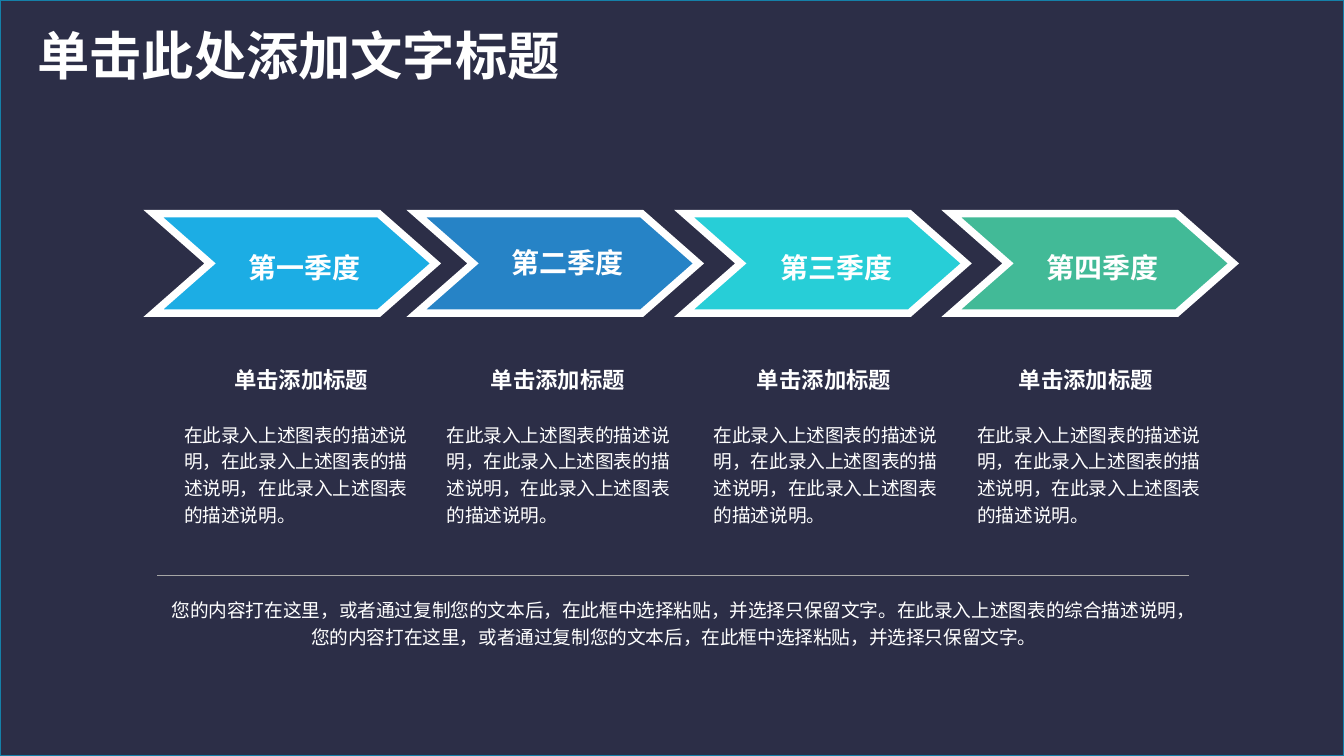
"""Build a slide with four quarterly arrows, their descriptions and a summary."""
from dataclasses import dataclass

from lxml.etree import SubElement
from pptx import Presentation
from pptx.dml.color import RGBColor
from pptx.enum.shapes import MSO_CONNECTOR, MSO_SHAPE
from pptx.enum.text import MSO_ANCHOR, MSO_AUTO_SIZE, PP_ALIGN
from pptx.oxml.ns import qn
from pptx.shapes.base import BaseShape
from pptx.shapes.shapetree import GroupShapes, SlideShapes
from pptx.slide import Slide
from pptx.util import Cm, Pt


@dataclass(frozen=True)
class Theme:
    background: str = "2C2E47"
    frame: str = "1580A9"
    text: str = "FFFFFF"
    rule: str = "A6A6A6"
    font: str = "Noto Sans CJK SC"
    label_font: str = "Arial"
    title_size: float = 28
    label_size: float = 15
    heading_size: float = 12
    body_size: float = 10


@dataclass(frozen=True)
class Box:
    left: float
    top: float
    width: float
    height: float


@dataclass(frozen=True)
class TextStyle:
    size: float
    bold: bool = False
    font: str = Theme.font
    align: PP_ALIGN = PP_ALIGN.CENTER
    anchor: MSO_ANCHOR = MSO_ANCHOR.TOP
    spacing: float = 1.0
    wrap: bool = True
    inset_x: float = 0.18
    inset_y: float = 0.1


@dataclass(frozen=True)
class Quarter:
    name: str
    color: str
    arrow_left: float
    label: Box
    heading_left: float
    body_left: float
    label_spacing: float = 1.2


THEME = Theme()
SLIDE_WIDTH, SLIDE_HEIGHT = 25.4, 14.29
ARROW = Box(0, 4.04, 5.33, 1.88)
ARROW_POINT = 1.07
HEADING = "单击添加标题"
DESCRIPTION = "在此录入上述图表的描述说明，在此录入上述图表的描述说明，在此录入上述图表的描述说明。"
SUMMARY = (
    "您的内容打在这里，或者通过复制您的文本后，在此框中选择粘贴，并选择只保留文字。"
    "在此录入上述图表的综合描述说明，"
    "您的内容打在这里，或者通过复制您的文本后，在此框中选择粘贴，并选择只保留文字。"
)
QUARTERS = (
    Quarter("第一季度", "1CADE4", 2.9, Box(3.45, 4.47, 4.62, 1.02), 4.22, 3.3),
    Quarter("第二季度", "2683C6", 7.87, Box(8.48, 4.52, 4.5, 0.89), 9.07, 8.26, 1.0),
    Quarter("第三季度", "27CED7", 12.93, Box(13.59, 4.47, 4.45, 1.02), 14.1, 13.31),
    Quarter("第四季度", "42BA97", 17.98, Box(18.59, 4.47, 4.5, 1.02), 19.05, 18.29),
)


def write_text(shape: BaseShape, text: str, style: TextStyle) -> None:
    """Fill a shape with one formatted paragraph."""
    frame = shape.text_frame
    frame.word_wrap = style.wrap
    frame.auto_size = MSO_AUTO_SIZE.SHAPE_TO_FIT_TEXT
    frame.vertical_anchor = style.anchor
    frame.margin_left = frame.margin_right = Cm(style.inset_x)
    frame.margin_top = frame.margin_bottom = Cm(style.inset_y)
    paragraph = frame.paragraphs[0]
    paragraph.alignment = style.align
    paragraph.line_spacing = style.spacing
    paragraph.space_before = Pt(0)
    run = paragraph.add_run()
    run.text = text
    run.font.size = Pt(style.size)
    run.font.bold = style.bold
    run.font.name = style.font
    run.font.color.rgb = RGBColor.from_string(THEME.text)
    SubElement(run.font._element, qn("a:ea"), typeface=THEME.font)


def add_text(shapes: SlideShapes | GroupShapes, box: Box, text: str, style: TextStyle) -> None:
    """Add a text box."""
    shape = shapes.add_textbox(Cm(box.left), Cm(box.top), Cm(box.width), Cm(box.height))
    write_text(shape, text, style)


def paint(shape: BaseShape, fill: str, line: str, width: float) -> None:
    """Give a shape a flat fill and a sharp-cornered outline."""
    shape.shadow.inherit = False
    shape.fill.solid()
    shape.fill.fore_color.rgb = RGBColor.from_string(fill)
    shape.line.color.rgb = RGBColor.from_string(line)
    shape.line.width = Pt(width)
    SubElement(shape.line._get_or_add_ln(), qn("a:miter"), lim="800000")


def add_background(slide: Slide) -> None:
    """Add the framed backdrop behind everything else."""
    backdrop = slide.shapes.add_shape(
        MSO_SHAPE.RECTANGLE, Cm(0), Cm(0), Cm(SLIDE_WIDTH), Cm(SLIDE_HEIGHT)
    )
    paint(backdrop, THEME.background, THEME.frame, 1)
    slide.shapes._spTree.insert(2, backdrop._element)


def add_title(slide: Slide) -> None:
    """Move and fill the title placeholder."""
    title = slide.shapes.title
    title.left, title.top, title.width, title.height = Cm(0.46), Cm(0.3), Cm(10.49), Cm(1.45)
    style = TextStyle(
        THEME.title_size, True, align=PP_ALIGN.LEFT, wrap=False, inset_x=0.25, inset_y=0.13
    )
    write_text(title, "单击此处添加文字标题", style)


def add_arrow(shapes: SlideShapes, quarter: Quarter) -> None:
    """Add a notched arrow grouped with its label."""
    group = shapes.add_group_shape()
    left, right = quarter.arrow_left, quarter.arrow_left + ARROW.width
    bottom, middle = ARROW.top + ARROW.height, ARROW.top + ARROW.height / 2
    corners = (
        (right - ARROW_POINT, ARROW.top),
        (right, middle),
        (right - ARROW_POINT, bottom),
        (left, bottom),
        (left + ARROW_POINT, middle),
    )
    outline = group.shapes.build_freeform(Cm(left), Cm(ARROW.top))
    outline.add_line_segments([(Cm(x), Cm(y)) for x, y in corners], close=True)
    paint(outline.convert_to_shape(), quarter.color, THEME.text, 4)
    style = TextStyle(
        THEME.label_size, True, THEME.label_font, anchor=MSO_ANCHOR.MIDDLE,
        spacing=quarter.label_spacing, inset_x=0.25, inset_y=0.13,
    )
    add_text(group.shapes, quarter.label, quarter.name, style)


def add_quarter(shapes: SlideShapes, quarter: Quarter) -> None:
    """Add one column: arrow, heading and description."""
    add_arrow(shapes, quarter)
    heading_style = TextStyle(THEME.heading_size, True, wrap=False)
    add_text(shapes, Box(quarter.heading_left, 6.83, 2.95, 0.71), HEADING, heading_style)
    body_style = TextStyle(THEME.body_size, align=PP_ALIGN.LEFT, spacing=1.2)
    add_text(shapes, Box(quarter.body_left, 7.82, 4.65, 2.24), DESCRIPTION, body_style)


def add_summary(shapes: SlideShapes) -> None:
    """Add the dividing line and the closing text."""
    divider = shapes.add_connector(
        MSO_CONNECTOR.STRAIGHT, Cm(2.97), Cm(10.87), Cm(22.48), Cm(10.87)
    )
    divider.line.color.rgb = RGBColor.from_string(THEME.rule)
    divider.line.width = Pt(0.5)
    SubElement(divider._element.spPr, qn("a:effectLst"))
    style = TextStyle(THEME.body_size, spacing=1.2)
    add_text(shapes, Box(2.95, 11.13, 19.56, 1.22), SUMMARY, style)


def main() -> None:
    """Build and save the presentation."""
    presentation = Presentation()
    presentation.slide_width, presentation.slide_height = Cm(SLIDE_WIDTH), Cm(SLIDE_HEIGHT)
    slide = presentation.slides.add_slide(presentation.slide_layouts[5])
    add_background(slide)
    add_title(slide)
    for quarter in QUARTERS:
        add_quarter(slide.shapes, quarter)
    add_summary(slide.shapes)
    presentation.save("out.pptx")


if __name__ == "__main__":
    main()
